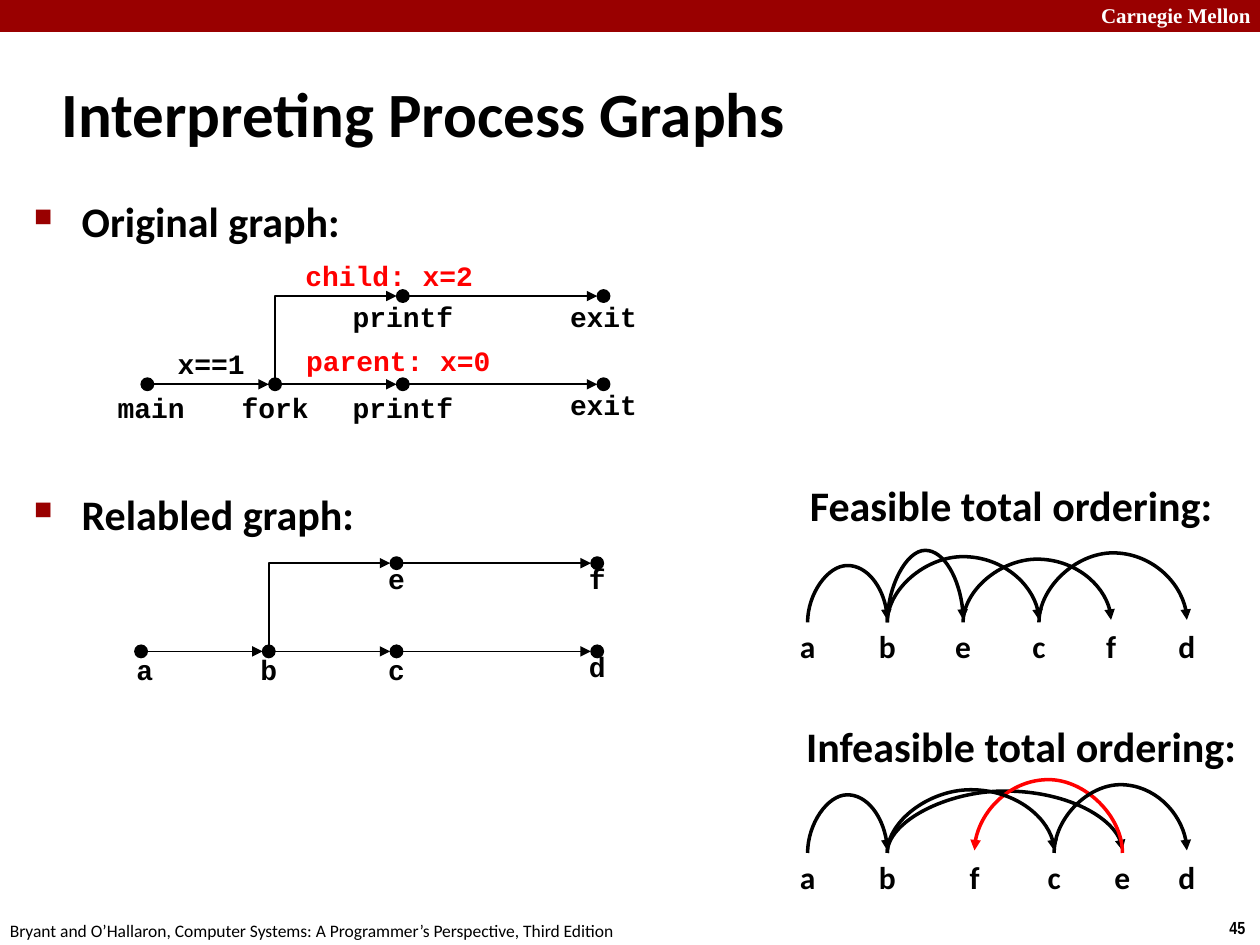
from dataclasses import dataclass

from lxml.etree import SubElement
from pptx import Presentation
from pptx.dml.color import RGBColor
from pptx.enum.shapes import MSO_CONNECTOR as Conn, MSO_SHAPE as Shape
from pptx.enum.text import MSO_ANCHOR as Anchor, PP_ALIGN as Align
from pptx.oxml.ns import qn
from pptx.util import Inches, Pt


@dataclass(frozen=True)
class Theme:
    black: str = "000000"
    white: str = "FFFFFF"
    red: str = "FF0000"
    crimson: str = "990000"
    sans: str = "Calibri"
    mono: str = "Courier New"
    serif: str = "Times New Roman"
    narrow: str = "Arial Narrow"
    title: int = 36
    heading: int = 24
    letter: int = 18
    code: int = 16
    banner: int = 12
    small: int = 10


@dataclass(frozen=True)
class Box:
    x: float
    y: float
    w: float
    h: float

    def at(self, col, row):
        """Point at the given shares of the box's width and height."""
        return self.x + col * self.w, self.y + row * self.h

    def emu(self):
        return [Inches(v) for v in (self.x, self.y, self.w, self.h)]


T = Theme()
PAGE = Box(0, 0, 10, 7.5)
DOT = 0.1
TICK = 0.02  # how far an arc's end lies above its start


def rgb(color):
    return RGBColor.from_string(color)


def write(tf, text, size=T.heading, font=T.sans, color=T.black, bold=True,
          align=Align.LEFT, anchor=Anchor.TOP, bullet=False):
    tf.word_wrap = True
    tf.vertical_anchor = anchor
    p = tf.paragraphs[0]
    p.alignment = align
    if bullet:
        pPr = p._p.get_or_add_pPr()
        pPr.set("marL", str(Inches(0.38)))
        pPr.set("indent", str(-Inches(0.38)))
        clr = SubElement(pPr, qn("a:buClr"))
        SubElement(clr, qn("a:srgbClr"), val=T.crimson)
        SubElement(pPr, qn("a:buSzPct"), val="60000")
        SubElement(pPr, qn("a:buChar"), char="■")
    r = p.add_run()
    r.text = text
    r.font.size, r.font.name, r.font.bold = Pt(size), font, bold
    r.font.color.rgb = rgb(color)


def add_text(slide, box, text, **fmt):
    write(slide.shapes.add_textbox(*box.emu()).text_frame, text, **fmt)


def add_label(slide, x, top, text, width=1.04, **fmt):
    """Put text centred on x."""
    add_text(slide, Box(x - width / 2, top, width, 0.37), text, align=Align.CENTER, **fmt)


def add_filled(slide, kind, box, color):
    sp = slide.shapes.add_shape(kind, *box.emu())
    sp.shadow.inherit = False
    sp.fill.solid()
    sp.fill.fore_color.rgb = rgb(color)
    sp.line.color.rgb = rgb(color)
    sp.line.width = Pt(0.75)


def add_arrow(slide, start, end, kind=Conn.STRAIGHT, width=1, color=T.black):
    cxn = slide.shapes.add_connector(kind, *(Inches(v) for v in (*start, *end)))
    cxn.line.width = Pt(width)
    cxn.line.color.rgb = rgb(color)
    SubElement(cxn.line._get_or_add_ln(), qn("a:tailEnd"), type="triangle")
    SubElement(cxn._element.spPr, qn("a:effectLst"))
    return cxn


def add_rising_arrow(slide, start, end, kind, preset, rise=None, **fmt):
    """Connector that leaves start upwards: a quarter turn of a sideways one."""
    (x1, y1), (x2, y2) = start, end
    cx, cy = (x1 + x2) / 2, (y1 + y2) / 2
    half_w, half_h = (y1 - y2) / 2, abs(x2 - x1) / 2
    side = 1 if x2 > x1 else -1
    cxn = add_arrow(slide, (cx + side * half_w, cy + half_h),
                    (cx - side * half_w, cy - half_h), kind, **fmt)
    spPr = cxn._element.spPr
    spPr.find(qn("a:xfrm")).set("rot", str((90 if side > 0 else 270) * 60000))
    geom = spPr.find(qn("a:prstGeom"))
    geom.set("prst", preset)
    if rise:
        guides = geom.find(qn("a:avLst"))
        if guides is None:
            guides = SubElement(geom, qn("a:avLst"))
        SubElement(guides, qn("a:gd"), name="adj1",
                   fmla=f"val {round(rise / (y1 - y2) * 100000)}")


def process_graph(slide, box, parent, child, label_dy=0, notes=()):
    """Parent row along the bottom; child row forks upwards from its second node."""
    cols = (0, 0.28, 0.56, 1)
    lower = [box.at(c, 1) for c in cols]
    upper = [box.at(c, 0) for c in cols[2:]]
    for row, names in ((lower, parent), (upper, child)):
        for (x, y), name in zip(row, names):
            add_filled(slide, Shape.OVAL, Box(x - DOT / 2, y - DOT / 2, DOT, DOT), T.black)
            lift = 0.02 if row is upper or name == names[-1] else 0
            add_label(slide, x + (0.03 if name == parent[0] else 0), y + label_dy - lift,
                      name, size=T.code, font=T.mono)
        for (x1, y1), (x2, y2) in zip(row, row[1:]):
            add_arrow(slide, (x1 + DOT / 2, y1), (x2 - DOT / 2, y2))
    (fx, fy), (ux, uy) = lower[1], upper[0]
    add_rising_arrow(slide, (fx, fy), (ux - DOT / 2, uy), Conn.ELBOW, "bentConnector2")
    for text, col, row, color in notes:
        x, y = box.at(col, row)
        add_label(slide, x, y, text, width=2, size=T.code, font=T.mono, color=color)


def ordering(slide, box, heading, heading_x, letters, arcs):
    """Heading on top, letters under the bottom edge, arcs (from, to, rise, colour)."""
    add_text(slide, Box(heading_x, box.y, PAGE.w - heading_x, 0.5), heading)
    points = {name: box.at(col, 1) for name, col in letters.items()}
    for name, (x, y) in points.items():
        add_label(slide, x, y, name, width=0.34, size=T.letter)
    for a, b, rise, color in arcs:
        (x1, y), (x2, _) = points[a], points[b]
        add_rising_arrow(slide, (x1, y + TICK / 2), (x2, y - TICK / 2), Conn.CURVE,
                         "curvedConnector3", rise=rise, width=2, color=color)


def frame(slide):
    """Top banner, title, footer and page number."""
    add_filled(slide, Shape.RECTANGLE, Box(0, 0, PAGE.w, 0.25), T.crimson)
    add_text(slide, Box(8.64, -0.03, 1.43, 0.3), "Carnegie Mellon",
             size=T.banner, font=T.serif, color=T.white)
    title = slide.shapes.title
    title.left, title.top, title.width, title.height = Box(0.39, 0.48, 8.3, 0.83).emu()
    write(title.text_frame, "Interpreting Process Graphs", size=T.title, anchor=Anchor.MIDDLE)
    add_text(slide, Box(9.66, 7.23, 0.34, 0.27), "45", size=T.small, font=T.narrow)
    add_text(slide, Box(-0.02, 7.25, 5.08, 0.27),
             "Bryant and O’Hallaron, Computer Systems: A Programmer’s Perspective, Third Edition",
             size=T.small, bold=False)


def main():
    prs = Presentation()
    prs.slide_width, prs.slide_height = Inches(PAGE.w), Inches(PAGE.h)
    slide = prs.slides.add_slide(prs.slide_layouts[5])
    frame(slide)

    for text, top in (("Original graph:", 1.5), ("Relabled graph:", 3.83)):
        add_text(slide, Box(0.17, top, 5.14, 0.5), text, bullet=True)
    process_graph(slide, Box(1.17, 2.35, 3.62, 0.7),
                  ("main", "fork", "printf", "exit"), ("printf", "exit"),
                  notes=(("child: x=2", 0.53, -0.5, T.red),
                         ("x==1", 0.14, 0.5, T.black),
                         ("parent: x=0", 0.55, 0.47, T.red)))
    process_graph(slide, Box(1.12, 4.47, 3.62, 0.7), "abcd", "ef", label_dy=-0.04)

    ordering(slide, Box(6.41, 3.76, 3.01, 1.17), "Feasible total ordering:", 6.33,
             dict(a=0, b=0.21, e=0.41, c=0.61, f=0.8, d=1),
             (("a", "b", 0.45, T.black), ("b", "e", 0.57, T.black),
              ("e", "f", 0.5, T.black), ("b", "c", 0.52, T.black),
              ("c", "d", 0.55, T.black)))
    ordering(slide, Box(6.41, 5.67, 3.01, 1.09), "Infeasible total ordering:", 6.3,
             dict(a=0, b=0.21, f=0.44, c=0.65, e=0.83, d=1),
             (("a", "b", 0.46, T.black), ("b", "e", 0.49, T.black),
              ("e", "f", 0.58, T.red), ("b", "c", 0.5, T.black),
              ("c", "d", 0.54, T.black)))
    prs.save("out.pptx")


if __name__ == "__main__":
    main()
